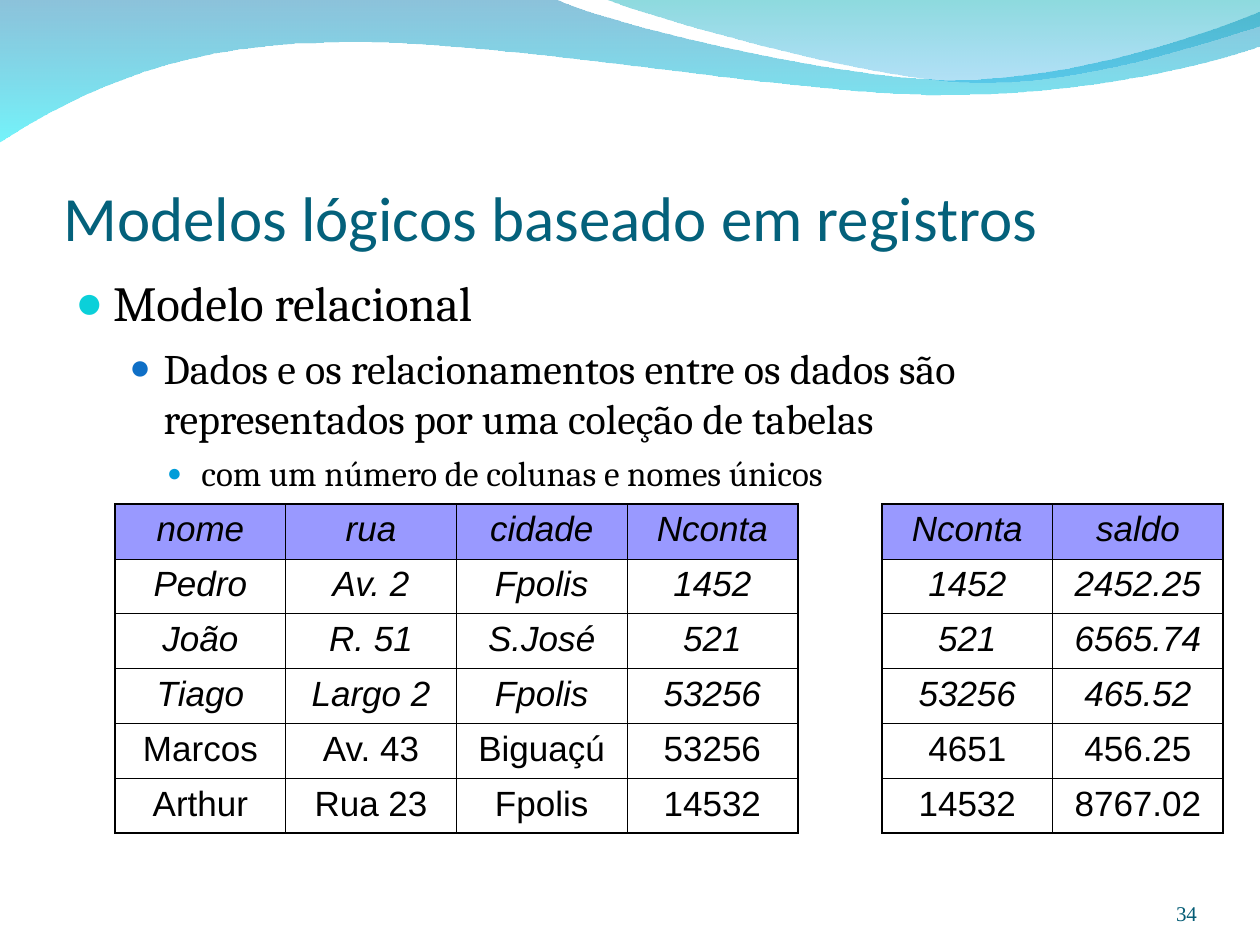
from lxml.etree import SubElement
from pptx import Presentation
from pptx.dml.color import RGBColor
from pptx.enum.text import MSO_ANCHOR as ANCHOR, PP_ALIGN as ALIGN
from pptx.oxml.ns import qn
from pptx.oxml.xmlchemy import OxmlElement
from pptx.util import Cm, Pt

rgb = RGBColor.from_string


def write(tf, p, text, font, size, color, italic=False):
    """Put one run of formatted text in a paragraph."""
    tf.word_wrap = True
    r = p.add_run()
    r.text = text
    for name, value in {"name": font, "size": Pt(size), "italic": italic}.items():
        setattr(r.font, name, value)
    r.font.color.rgb = rgb(color)


prs = Presentation()
prs.slide_width, prs.slide_height = Cm(25.4), Cm(19.05)
s = prs.slides.add_slide(prs.slide_layouts[6])

# Waves along the top: one point is a straight edge, three are a curve (cm)
waves = [
    ([[(0, -0.03)], [(11.18, -0.03)],
      [(12.09, 0.43), (16.87, 1.6), (19.25, 1.6)],
      [(21.67, 1.6), (24.33, 0.66), (25.4, 0.23)],
      [(25.43, 0.91)],
      [(24.97, 1.12), (22.1, 1.93), (18.95, 1.91)],
      [(15.8, 1.91), (9.7, 0.71), (6.53, 0.86)],
      [(3.28, 0.89), (1.17, 2.11), (-0.03, 2.87)]],
     [("0079AF", 45), ("00EBF8", 55)]),
    ([[(12.17, -0.03)],
      [(12.93, 0.28), (17.32, 1.57), (19.53, 1.65)],
      [(21.74, 1.75), (24.41, 0.81), (25.4, 0.53)],
      [(25.4, 0)]],
     [("00ADB6", 45), ("009BE5", 30)]),
]
for segments, stops in waves:
    emu = [(Cm(x), Cm(y)) for segment in segments for x, y in segment]
    builder = s.shapes.build_freeform(*emu[0])
    builder.add_line_segments(emu[1:], close=True)
    sp = builder.convert_to_shape()
    # Join each three-point segment into one cubic curve
    edges = iter(list(sp._element.iter(qn("a:lnTo"))))
    for segment in segments[1:]:
        parts = [next(edges) for point in segment]
        if len(parts) == 3:
            cubic = OxmlElement("a:cubicBezTo")
            parts[0].addprevious(cubic)
            for part in parts:
                cubic.append(part[0])
                part.getparent().remove(part)
    sp.shadow.inherit = False
    sp.line.fill.background()
    sp.fill.gradient()
    sp.fill.gradient_angle = 270
    for stop, (color, opacity) in zip(sp.fill.gradient_stops, stops):
        stop.color.rgb = rgb(color)
    for clr, (color, opacity) in zip(sp._element.spPr.iter(qn("a:srgbClr")), stops):
        SubElement(clr, qn("a:alpha"), val=str(opacity * 1000))

# Text boxes: place, insets (left, top, right, bottom), anchor, alignment, paragraphs
# Paragraph: text, font, size, colour, bullet (indent, hanging, space before, colour, percent)
body_font, black = "Cambria", "000000"
boxes = [
    ((1.28, 1.95, 22.86, 3.18), (0, 0.13, 0, 0), ANCHOR.BOTTOM, ALIGN.LEFT,
     [("Modelos lógicos baseado em registros", "Calibri", 36, "04617B", None)]),
    ((1.27, 5.37, 22.86, 12.19), (0.25, 0.13, 0.25, 0.13), ANCHOR.TOP, ALIGN.LEFT,
     [("Modelo relacional", body_font, 28, black, (0.76, 0.76, 0, "0BD0D9", 95)),
      ("Dados e os relacionamentos entre os dados são representados por uma coleção de tabelas",
       body_font, 24, black, (1.78, 0.69, 6, "0F6FC6", 85)),
      ("com um número de colunas e nomes únicos",
       body_font, 20, black, (2.54, 0.69, 5, "009DD9", 70))]),
    ((22.02, 17.65, 2.11, 1.02), (0, 0, 0, 0), ANCHOR.BOTTOM, ALIGN.RIGHT,
     [("34", "Times New Roman", 12, "045C75", None)]),
]
for place, insets, anchor, align, paragraphs in boxes:
    tf = s.shapes.add_textbox(*map(Cm, place)).text_frame
    tf.vertical_anchor = anchor
    for side, inset in zip(("left", "top", "right", "bottom"), insets):
        setattr(tf, f"margin_{side}", Cm(inset))
    for i, (text, font, size, color, bullet) in enumerate(paragraphs):
        p = tf.add_paragraph() if i else tf.paragraphs[0]
        p.alignment = align
        if bullet:
            indent, hanging, before, bullet_color, percent = bullet
            p.level = i
            if before:
                p.space_before = Pt(before)
            pPr = p._p.get_or_add_pPr()
            pPr.set("marL", str(Cm(indent)))
            pPr.set("indent", str(-Cm(hanging)))
            SubElement(SubElement(pPr, qn("a:buClr")), qn("a:srgbClr"), val=bullet_color)
            SubElement(pPr, qn("a:buSzPct"), val=str(percent * 1000))
            SubElement(pPr, qn("a:buFont"), typeface="Arial")
            SubElement(pPr, qn("a:buChar"), char="●")
        write(tf, p, text, font, size, color)

# Tables of clients and accounts
col_w, table_top, table_h = 3.44, 10.16, 6.64
tables = [
    (2.32, [("nome", "rua", "cidade", "Nconta"),
            ("Pedro", "Av. 2", "Fpolis", "1452"),
            ("João", "R. 51", "S.José", "521"),
            ("Tiago", "Largo 2", "Fpolis", "53256"),
            ("Marcos", "Av. 43", "Biguaçú", "53256"),
            ("Arthur", "Rua 23", "Fpolis", "14532")]),
    (17.78, [("Nconta", "saldo"),
             ("1452", "2452.25"),
             ("521", "6565.74"),
             ("53256", "465.52"),
             ("4651", "456.25"),
             ("14532", "8767.02")]),
]
for left, rows in tables:
    n_rows, n_cols = len(rows), len(rows[0])
    tbl = s.shapes.add_table(n_rows, n_cols, Cm(left), Cm(table_top),
                             Cm(col_w * n_cols), Cm(table_h)).table
    tbl.first_row = tbl.horz_banding = False
    for i, row in enumerate(rows):
        for j, text in enumerate(row):
            cell = tbl.cell(i, j)
            # Thick lines outside, thin lines inside
            outer = {"lnL": j == 0, "lnR": j == n_cols - 1,
                     "lnT": i == 0, "lnB": i == n_rows - 1}
            tcPr = cell._tc.get_or_add_tcPr()
            for tag, thick in outer.items():
                ln = SubElement(tcPr, qn(f"a:{tag}"), w=str(Pt(1.08 if thick else 0.45)))
                SubElement(SubElement(ln, qn("a:solidFill")), qn("a:srgbClr"), val=black)
            cell.fill.solid()
            cell.fill.fore_color.rgb = rgb("FFFFFF" if i else "9999FF")
            p = cell.text_frame.paragraphs[0]
            p.alignment = ALIGN.CENTER
            write(cell.text_frame, p, text, "Arial", 20, black, italic=i < 4)

prs.save("out.pptx")
